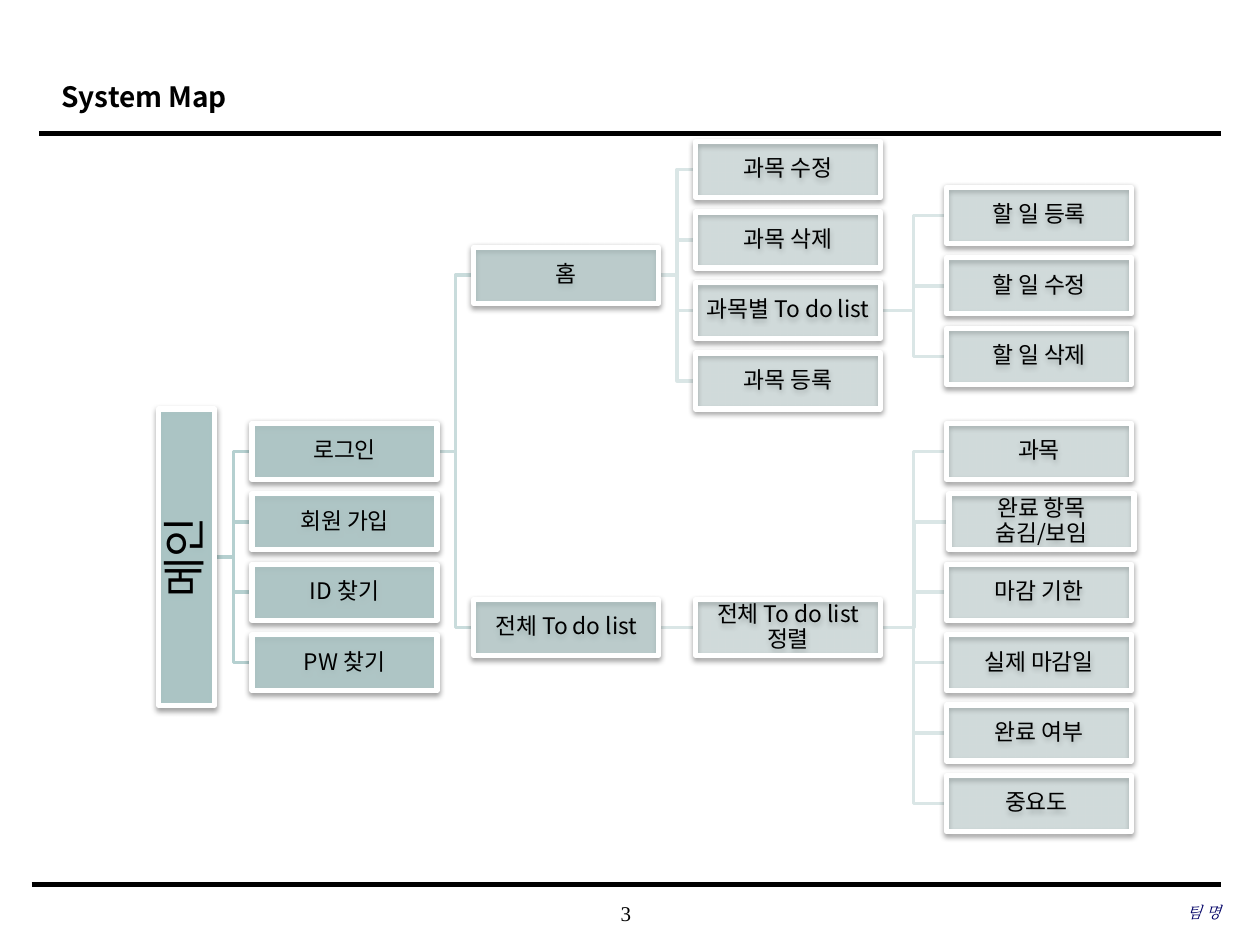
from pptx import Presentation
from pptx.dml.color import RGBColor
from pptx.enum.shapes import MSO_CONNECTOR as Link, MSO_SHAPE as Preset
from pptx.enum.text import MSO_ANCHOR as Anchor, PP_ALIGN as Align
from pptx.oxml import parse_xml
from pptx.oxml.ns import nsdecls, qn
from pptx.util import Cm, Pt

SANS, SERIF = "Noto Sans CJK KR", "Times New Roman"
BLACK, WHITE, TEAL = "000000", "FFFFFF", "AACACA"

# name, (centre row, children)
SITE_MAP = ("메인", 5.5, [
    ("로그인", 4, [
        ("홈", 1.5, [
            ("과목 수정", 0, []),
            ("과목 삭제", 1, []),
            ("과목별 To do list", 2, [
                ("할 일 등록", 0.65, []),
                ("할 일 수정", 1.65, []),
                ("할 일 삭제", 2.65, []),
            ]),
            ("과목 등록", 3, []),
        ]),
        ("전체 To do list", 6.5, [
            ("전체 To do list\v정렬", 6.5, [
                ("과목", 4, []),
                ("완료 항목\v숨김/보임", 5, []),
                ("마감 기한", 6, []),
                ("실제 마감일", 7, []),
                ("완료 여부", 8, []),
                ("중요도 ", 9, []),
            ]),
        ]),
    ]),
    ("회원 가입", 5, []),
    ("ID 찾기", 6, []),
    ("PW 찾기", 7, []),
])
LEVELS = [
    dict(left=3.2, width=1.13, opacity=80, link="B5D0D0"),
    dict(left=5.08, width=3.73, opacity=70, link="C9DCDC"),
    dict(left=9.55, width=3.73, opacity=50, link="DAE6E6"),
    dict(left=14.02, width=3.73, opacity=30, link="DAE6E6"),
    dict(left=19.08, width=3.73, opacity=30, link="DAE6E6"),
]
SHIFTED = {"완료 항목\v숨김/보임": 0.05}
FIRST_ROW, ROW_PITCH, BOX_HEIGHT, ROOT_LENGTH = 3.42, 1.42, 1.13, 5.97
RULES = [(0.79, 2.69, 2.5), (0.64, 17.83, 3)]
RULE_END = 24.61
LABELS = [
    ("System Map", (0.99, 1.24, 19.18, 1.27), 0.25, Align.LEFT, 1.2,
     dict(size=Pt(16), name=SANS, bold=True), BLACK),
    ("3", (9.98, 17.98, 5.28, 0.84), 0, Align.CENTER, 1,
     dict(size=Pt(12), name=SERIF), BLACK),
    ("팀 명", (16.84, 17.96, 7.77, 0.84), 0, Align.RIGHT, 1,
     dict(size=Pt(9), name=SERIF, italic=True), "000066"),
]
SHADOW = (f'<a:outerShdw {nsdecls("a")} blurRad="40000" dist="20000" dir="5400000" '
          'rotWithShape="0"><a:srgbClr val="000000"><a:alpha val="38000"/>'
          '</a:srgbClr></a:outerShdw>')


def rgb(value):
    """Return the colour for a hex string."""
    return RGBColor.from_string(value)


def write(holder, words, inset, align, spacing, font, colour):
    """Fill a shape with one formatted paragraph."""
    frame = holder.text_frame
    frame.text = words
    margins = {f"margin_{side}": Cm(inset) for side in ("left", "right", "top", "bottom")}
    for key, value in dict(margins, word_wrap=True, vertical_anchor=Anchor.MIDDLE).items():
        setattr(frame, key, value)
    paragraph = frame.paragraphs[0]
    paragraph.alignment, paragraph.line_spacing = align, spacing
    for run in paragraph.runs:
        for key, value in font.items():
            setattr(run.font, key, value)
        run.font.color.rgb = rgb(colour)
        run.font._element.find(qn("a:latin")).addnext(
            parse_xml(f'<a:ea {nsdecls("a")} typeface="{font["name"]}"/>'))


def draw_line(shapes, start, end, colour, weight):
    """Draw a straight line, or an elbow between different heights."""
    kind = Link.STRAIGHT if start[1] == end[1] else Link.ELBOW
    line = shapes.add_connector(kind, *map(Cm, start + end))
    line.line.color.rgb, line.line.width = rgb(colour), Pt(weight)
    line._element.spPr.append(parse_xml(f'<a:effectLst {nsdecls("a")}/>'))


def row_centre(row):
    """Return the height of a row's centre."""
    return FIRST_ROW + row * ROW_PITCH


def box_left(name, depth):
    """Return the left edge of a box."""
    return LEVELS[depth]["left"] + SHIFTED.get(name, 0)


def draw_links(shapes, node, depth=0):
    """Join each box to its children."""
    name, row, children = node
    start = (box_left(name, depth) + LEVELS[depth]["width"], row_centre(row))
    for child in children:
        end = (box_left(child[0], depth + 1), row_centre(child[1]))
        draw_line(shapes, start, end, LEVELS[depth]["link"], 2)
        draw_links(shapes, child, depth + 1)


def draw_boxes(shapes, node, depth=0):
    """Draw a box and all boxes below it."""
    name, row, children = node
    level = LEVELS[depth]
    length = level["width"] if depth else ROOT_LENGTH
    left = box_left(name, depth) + (level["width"] - length) / 2
    box = shapes.add_shape(Preset.RECTANGLE, Cm(left), Cm(row_centre(row) - BOX_HEIGHT / 2),
                           Cm(length), Cm(BOX_HEIGHT))
    box.rotation = 0 if depth else 270
    box.fill.solid()
    box.fill.fore_color.rgb = rgb(TEAL)
    box.line.color.rgb, box.line.width = rgb(WHITE), Pt(3)
    box.shadow.inherit = False
    outline = box._element.spPr
    outline.find(qn("a:effectLst")).append(parse_xml(SHADOW))
    outline.find(qn("a:solidFill"))[0].append(
        parse_xml(f'<a:alpha {nsdecls("a")} val="{level["opacity"] * 1000}"/>'))
    write(box, name, 0.03, Align.CENTER, 0.9,
          dict(size=Pt(13 if depth else 25), name=SANS), BLACK)
    for child in children:
        draw_boxes(shapes, child, depth + 1)


deck = Presentation()
deck.slide_width, deck.slide_height = Cm(25.4), Cm(19.05)
shapes = deck.slides.add_slide(deck.slide_layouts[6]).shapes
for left, height, weight in RULES:
    draw_line(shapes, (left, height), (RULE_END, height), BLACK, weight)
for words, place, *style in LABELS:
    write(shapes.add_textbox(*map(Cm, place)), words, *style)
draw_links(shapes, SITE_MAP)
draw_boxes(shapes, SITE_MAP)
deck.save("out.pptx")
